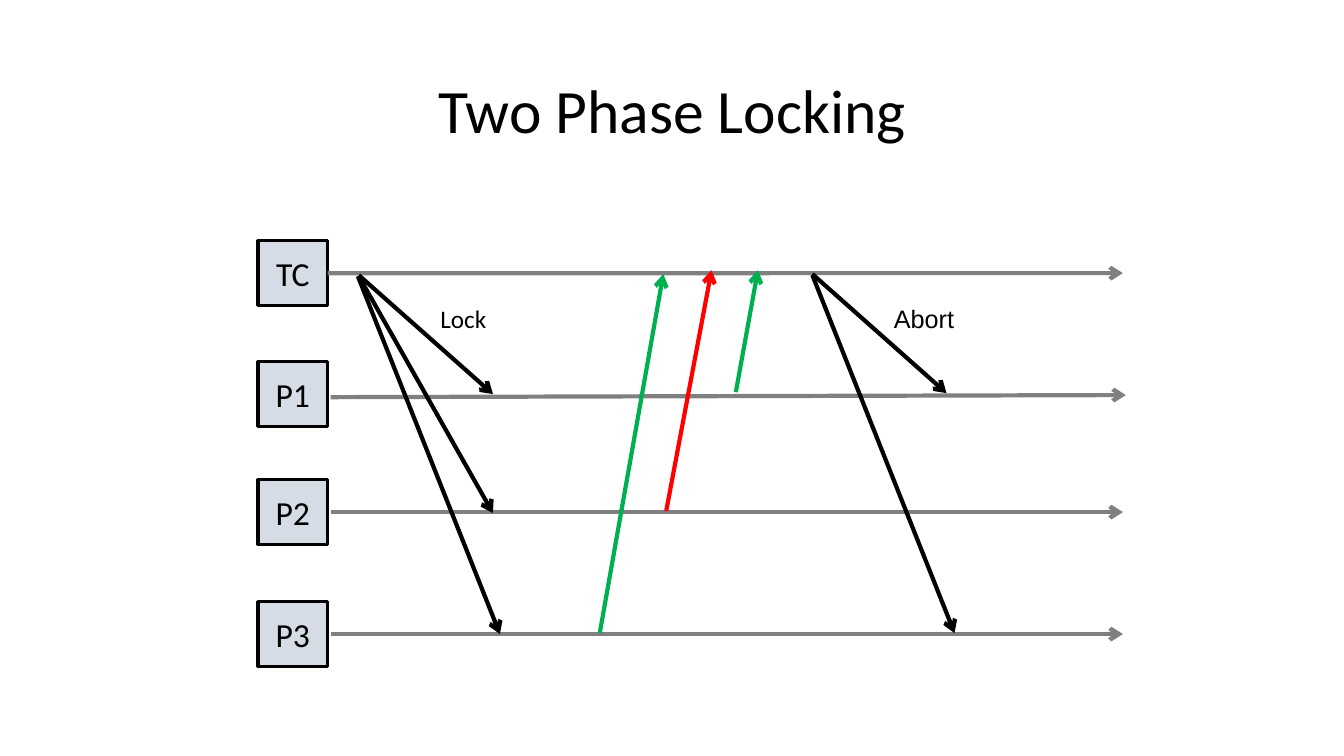
from lxml import etree
from pptx import Presentation
from pptx.dml.color import RGBColor
from pptx.enum.shapes import MSO_CONNECTOR, MSO_SHAPE
from pptx.enum.text import MSO_ANCHOR, PP_ALIGN
from pptx.oxml.ns import qn
from pptx.util import Pt

# Content: lengths in points
TITLE = "Two Phase Locking"
TITLE_BOX = (66.2, 28.8, 828, 104.4)

# name, box top, timeline start (x, y), timeline end (x, y)
NODES = [
    ("TC", 172.1, (234, 195.1), (802.1, 195.1)),
    ("P1", 258.5, (236.2, 283.7), (804.2, 282.2)),
    ("P2", 342.7, (236.2, 365.8), (802.1, 365.8)),
    ("P3", 429.8, (236.2, 452.9), (802.1, 452.9)),
]
NODE_LEFT, NODE_W, NODE_H = 184.3, 49.7, 46.1

# colour, start (x, y), end (x, y)
MESSAGES = [
    ("request", (256.3, 196.6), (352.1, 281.5)),
    ("request", (256.3, 197.3), (352.1, 366.5)),
    ("request", (255.6, 197.3), (357.1, 452.9)),
    ("yes", (428.4, 452.2), (473.8, 195.8)),
    ("no", (475.9, 365), (508.3, 193)),
    ("yes", (525.6, 280.1), (541.4, 193)),
    ("request", (580.3, 195.8), (676.1, 280.8)),
    ("request", (580.3, 196.6), (681.8, 452.2)),
]

# text, font, box
LABELS = [
    ("Lock", "Calibri", (307.4, 213.1, 51.8, 26.6)),
    ("Abort", "Arial", (631.4, 213.1, 57.6, 26.6)),
]

THEME = {
    "text": "000000", "node": "D6DCE5", "border": "000000",
    "timeline": "808080", "request": "000000", "yes": "00B050", "no": "FF0000",
    "font": "Calibri", "title_size": 44, "node_size": 24, "label_size": 18,
    "border_width": 2.25, "arrow_width": 3,
}


def color(name):
    return RGBColor.from_string(THEME[name])


def write(sp, text, size, font=THEME["font"], align=PP_ALIGN.CENTER,
          anchor=MSO_ANCHOR.MIDDLE, wrap=True, spacing=None):
    tf = sp.text_frame
    tf.word_wrap, tf.vertical_anchor = wrap, anchor
    p = tf.paragraphs[0]
    p.alignment, p.line_spacing = align, spacing
    r = p.add_run()
    r.text = text
    for key, value in {"name": font, "size": Pt(THEME[size])}.items():
        setattr(r.font, key, value)
    r.font.color.rgb = color("text")


def add_arrow(s, start, end, color_name):
    line = s.shapes.add_connector(MSO_CONNECTOR.STRAIGHT,
                                  *(Pt(v) for v in start + end))
    line.line.color.rgb = color(color_name)
    line.line.width = Pt(THEME["arrow_width"])
    etree.SubElement(line.line._get_or_add_ln(), qn("a:tailEnd"), type="arrow")
    etree.SubElement(line._element.spPr, qn("a:effectLst"))
    return line


def add_node(s, name, top):
    sp = s.shapes.add_shape(MSO_SHAPE.FLOWCHART_PROCESS,
                            *(Pt(v) for v in (NODE_LEFT, top, NODE_W, NODE_H)))
    sp.shadow.inherit = False
    sp.fill.solid()
    sp.fill.fore_color.rgb = color("node")
    sp.line.color.rgb = color("border")
    sp.line.width = Pt(THEME["border_width"])
    write(sp, name, "node_size")
    return sp


def main():
    prs = Presentation()
    prs.slide_width, prs.slide_height = Pt(960), Pt(540)
    s = prs.slides.add_slide(prs.slide_layouts[6])

    # Title
    title = s.shapes.add_textbox(*(Pt(v) for v in TITLE_BOX))
    write(title, TITLE, "title_size", spacing=0.9)

    # Nodes and their timelines
    for name, top, start, end in NODES:
        node = add_node(s, name, top)
        timeline = add_arrow(s, start, end, "timeline")
        if start[0] == NODE_LEFT + NODE_W:
            timeline.begin_connect(node, 3)

    # Messages between the timelines
    for color_name, start, end in MESSAGES:
        add_arrow(s, start, end, color_name)

    # Message labels
    for text, font, box in LABELS:
        label = s.shapes.add_textbox(*(Pt(v) for v in box))
        write(label, text, "label_size", font, PP_ALIGN.LEFT,
              MSO_ANCHOR.TOP, wrap=False)

    prs.save("out.pptx")


if __name__ == "__main__":
    main()
